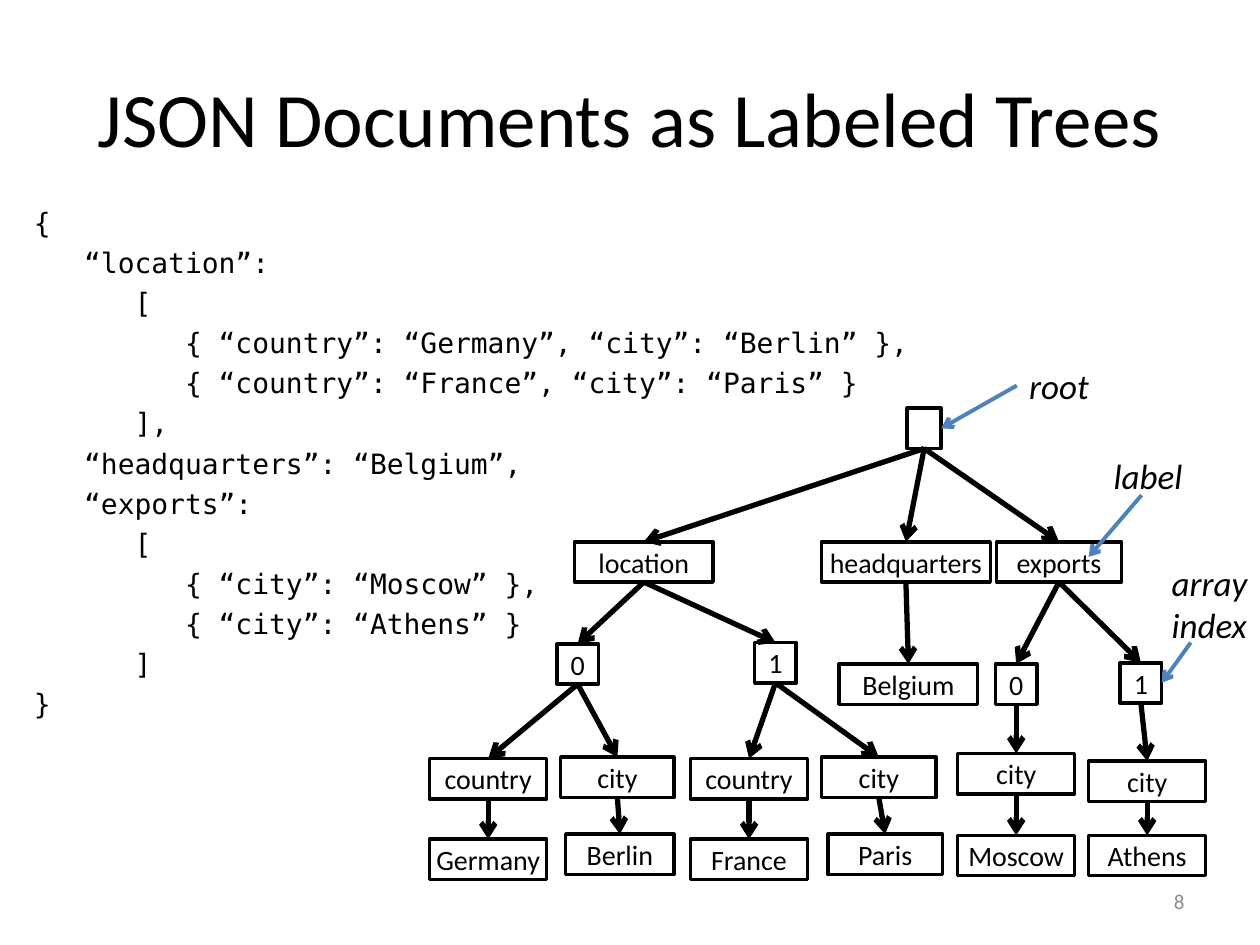
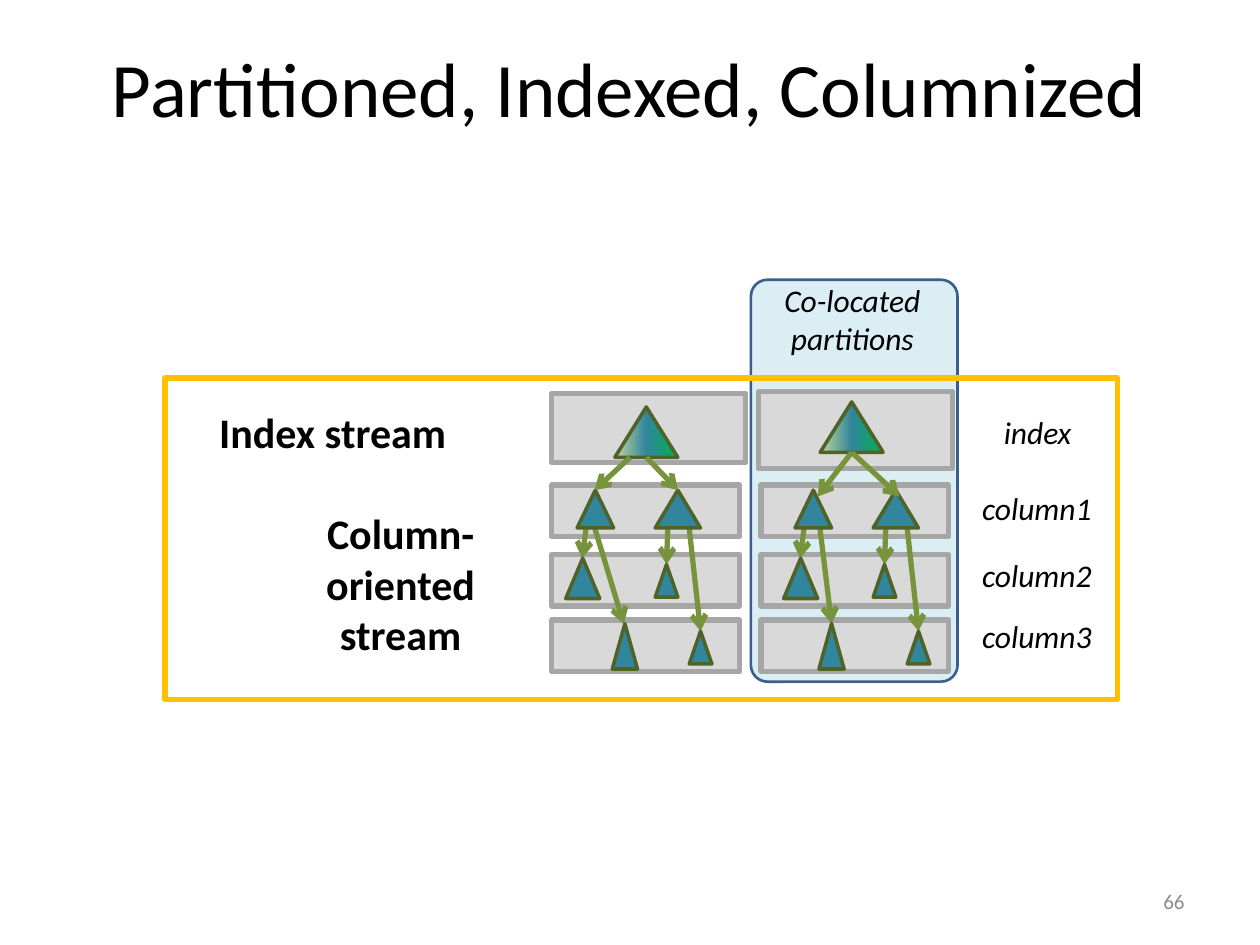
from copy import deepcopy

from lxml import etree
from pptx import Presentation
from pptx import util as u
from pptx.dml.color import RGBColor
from pptx.enum import shapes, text
from pptx.oxml.ns import qn

HUES = {
    "black": "000000", "blue": "4F81BD", "page": "8C8C8C",
    "bar": "D9D9D9", "edge": "A6A6A6", "pane": "DBEEF4", "rim": "3A5F8C",
    "gold": "FFC000", "teal": "31859C", "dark": "4F6228", "olive": "77933C",
    "light": "C3D69B", "green": "00B050",
}
SANS, MONO = "Calibri", "DejaVu Sans Mono"
RECT = shapes.MSO_SHAPE.RECTANGLE
PEAK = shapes.MSO_SHAPE.ISOSCELES_TRIANGLE
ROUND = shapes.MSO_SHAPE.ROUNDED_RECTANGLE
LEFT, MID, RIGHT = text.PP_ALIGN.LEFT, text.PP_ALIGN.CENTER, text.PP_ALIGN.RIGHT
FADE = [(0, "light"), (0.5, "teal"), (1, "green")]

CODE = """{
   “location”:
      [
         { “country”: “Germany”, “city”: “Berlin” },
         { “country”: “France”, “city”: “Paris” }
      ],
   “headquarters”: “Belgium”,
   “exports”:
      [
         { “city”: “Moscow” },
         { “city”: “Athens” }
      ]
}"""

NODE_H = 0.32
TREE = ("", 7.2, 3.24, 0.27, [
    ("location", 4.56, 4.3, 1.1, [
        ("0", 4.42, 5.11, 0.33, [
            ("country", 3.41, 6.02, 0.93, [("Germany", 3.41, 6.66, 0.93, [])]),
            ("city", 4.45, 6.01, 0.9, [("Berlin", 4.49, 6.62, 0.86, [])]),
        ]),
        ("1", 5.99, 5.1, 0.33, [
            ("country", 5.48, 6.02, 0.93, [("France", 5.48, 6.66, 0.93, [])]),
            ("city", 6.52, 6.01, 0.91, [("Paris", 6.57, 6.62, 0.91, [])]),
        ]),
    ]),
    ("headquarters", 6.52, 4.3, 1.34, [("Belgium", 6.66, 5.27, 1.1, [])]),
    ("exports", 7.91, 4.3, 0.99, [
        ("0", 7.9, 5.27, 0.33, [
            ("city", 7.6, 5.98, 0.93, [("Moscow", 7.6, 6.63, 0.93, [])]),
        ]),
        ("1", 8.89, 5.26, 0.33, [
            ("city", 8.64, 6.04, 0.93, [("Athens", 8.64, 6.63, 0.93, [])]),
        ]),
    ]),
])
HINTS = [
    ("root", (8.07, 2.84, 0.68, 0.44), (8.07, 3.06, 7.47, 3.4)),
    ("label", (8.74, 3.56, 0.75, 0.44), (9.06, 3.93, 8.64, 4.42)),
    ("array\nindex", (9.2, 4.41, 0.83, 0.77), (9.45, 5.1, 9.22, 5.42)),
]

ROWS = [("column1", 3.85, 3.87), ("column2", 4.4, 4.4), ("column3", 4.92, 4.89)]
PEAKS = [
    (4.49, 4.43, 0.27, 0.32), (5.2, 4.48, 0.18, 0.26), (5.47, 5.01, 0.18, 0.26),
    (4.58, 3.89, 0.29, 0.3), (5.2, 3.89, 0.36, 0.3),
]
LINKS = [
    (4.66, 4.13, 4.62, 4.43), (5.3, 4.19, 5.29, 4.48), (5.47, 4.19, 5.56, 5.01),
]
PARTS = [
    {"shift": 0, "bar": 4.38, "head": (4.38, 3.12, 1.54, 0.55),
     "top": (4.88, 3.23, 0.5, 0.4), "slim": (4.86, 4.95, 0.2, 0.36),
     "long": (4.72, 4.19, 4.95, 4.95),
     "down": [(5, 3.63, 4.72, 3.89), (5.13, 3.63, 5.38, 3.89)]},
    {"shift": 1.73, "bar": 6.04, "head": (6.02, 3.11, 1.54, 0.61),
     "top": (6.51, 3.19, 0.5, 0.4), "slim": (6.5, 4.95, 0.2, 0.36),
     "long": (6.5, 4.13, 6.6, 4.95),
     "down": [(6.76, 3.59, 6.49, 3.94), (6.76, 3.59, 7.14, 3.94)]},
]
NAMES = [
    ("Index stream", (1.7, 3.22, 1.88, 0.43), {"size": 24, "bold": True}),
    ("Column-\noriented\nstream", (2.55, 4.02, 1.26, 1.24), {"size": 24, "bold": True}),
    ("Co-located\npartitions", (6.16, 2.22, 1.21, 0.64), {"size": 18, "slant": True}),
    ("index", (7.93, 3.27, 0.61, 0.33), {"size": 18, "slant": True}),
] + [(name, (7.76, y, 0.94, 0.33), {"size": 18, "slant": True}) for name, _, y in ROWS]


def inch(n):
    return u.Cm(n * 2.54)


def hue(name):
    return RGBColor.from_string(HUES[name])


def write(shape, words, size=16, font=SANS, tint="black", bold=False, slant=False,
          align=MID, mid=False, wrap=False, gap=0, inset=(0.1, 0.05)):
    frame = shape.text_frame
    frame.word_wrap = wrap
    frame.vertical_anchor = text.MSO_ANCHOR.MIDDLE if mid else text.MSO_ANCHOR.TOP
    frame.margin_left = frame.margin_right = inch(inset[0])
    frame.margin_top = frame.margin_bottom = inch(inset[1])
    for i, line in enumerate(words.split("\n")):
        para = frame.add_paragraph() if i else frame.paragraphs[0]
        para.alignment = align
        if i and gap:
            para.space_before = u.Pt(gap)
        run = para.add_run()
        run.text = line
        run.font.size, run.font.name = u.Pt(size), font
        run.font.bold, run.font.italic = bold, slant
        run.font.color.rgb = hue(tint)


def label(slide, words, box, **form):
    write(slide.shapes.add_textbox(*map(inch, box)), words, **form)


def draw(slide, kind, box, fill, line, width):
    shape = slide.shapes.add_shape(kind, *map(inch, box))
    shape.shadow.inherit = False
    if fill == "fade":
        fade(shape)
    elif fill:
        shape.fill.solid()
        shape.fill.fore_color.rgb = hue(fill)
    else:
        shape.fill.background()
    shape.line.color.rgb = hue(line)
    shape.line.width = u.Pt(width)
    return shape


def fade(shape):
    shape.fill.gradient()
    shape.fill.gradient_angle = 0
    stops = shape._element.spPr.find(".//" + qn("a:gsLst"))
    stops.append(deepcopy(stops[-1]))
    for stop, (place, tint) in zip(shape.fill.gradient_stops, FADE):
        stop.position = place
        stop.color.rgb = hue(tint)


def arrow(slide, ends, tint, width=3):
    link = slide.shapes.add_connector(shapes.MSO_CONNECTOR.STRAIGHT, *map(inch, ends))
    link.line.color.rgb = hue(tint)
    link.line.width = u.Pt(width)
    props = link._element.spPr
    etree.SubElement(props.find(qn("a:ln")), qn("a:tailEnd"), type="arrow")
    etree.SubElement(props, qn("a:effectLst"))


def start(deck, title, height, page):
    slide = deck.slides.add_slide(deck.slide_layouts[6])
    label(slide, title, (0.5, 0.3, 9, height), size=44, mid=True, wrap=True)
    label(slide, str(page), (7.17, 6.95, 2.33, 0.4), size=12, tint="page",
          align=RIGHT, mid=True, wrap=True)
    return slide


def grow(slide, node):
    name, x, y, w, kids = node
    box = draw(slide, RECT, (x, y, w, NODE_H), None, "black", 2)
    if name:
        write(box, name, mid=True)
    for kid in kids:
        grow(slide, kid)
        arrow(slide, (x + w / 2, y + NODE_H, kid[1] + kid[3] / 2, kid[2]), "black")


def trees(deck):
    slide = start(deck, "JSON Documents as Labeled Trees", 1.25, 8)
    label(slide, CODE, (0.17, 1.58, 9.5, 5.28), font=MONO, align=LEFT, wrap=True, gap=3.75)
    grow(slide, TREE)
    for words, box, ends in HINTS:
        label(slide, words, box, size=20, slant=True, align=LEFT)
        arrow(slide, ends, "blue", 2.25)


def streams(deck):
    slide = start(deck, "Partitioned, Indexed, Columnized", 0.78, 66)
    pane = draw(slide, ROUND, (5.96, 2.22, 1.64, 3.19), "pane", "rim", 1.5)
    pane.adjustments[0] = 0.08
    for part in PARTS:
        bars = [part["head"]] + [(part["bar"], y, 1.49, 0.41) for _, y, _ in ROWS]
        for bar in bars:
            draw(slide, RECT, bar, "bar", "edge", 3)
    draw(slide, RECT, (1.31, 3, 7.56, 2.55), None, "gold", 3)
    for part in PARTS:
        dx = part["shift"]
        draw(slide, PEAK, part["top"], "fade", "dark", 2)
        links = [(a + dx, b, c + dx, d) for a, b, c, d in LINKS]
        for ends in links + [part["long"]]:
            arrow(slide, ends, "olive")
        peaks = [(x + dx, y, w, h) for x, y, w, h in PEAKS]
        for box in peaks + [part["slim"]]:
            draw(slide, PEAK, box, "teal", "dark", 2)
        for ends in part["down"]:
            arrow(slide, ends, "olive")
    for words, box, form in NAMES:
        label(slide, words, box, inset=(0.03, 0.01), **form)


def main():
    deck = Presentation()
    deck.slide_width, deck.slide_height = inch(10), inch(7.5)
    trees(deck)
    streams(deck)
    deck.save("out.pptx")


if __name__ == "__main__":
    main()
